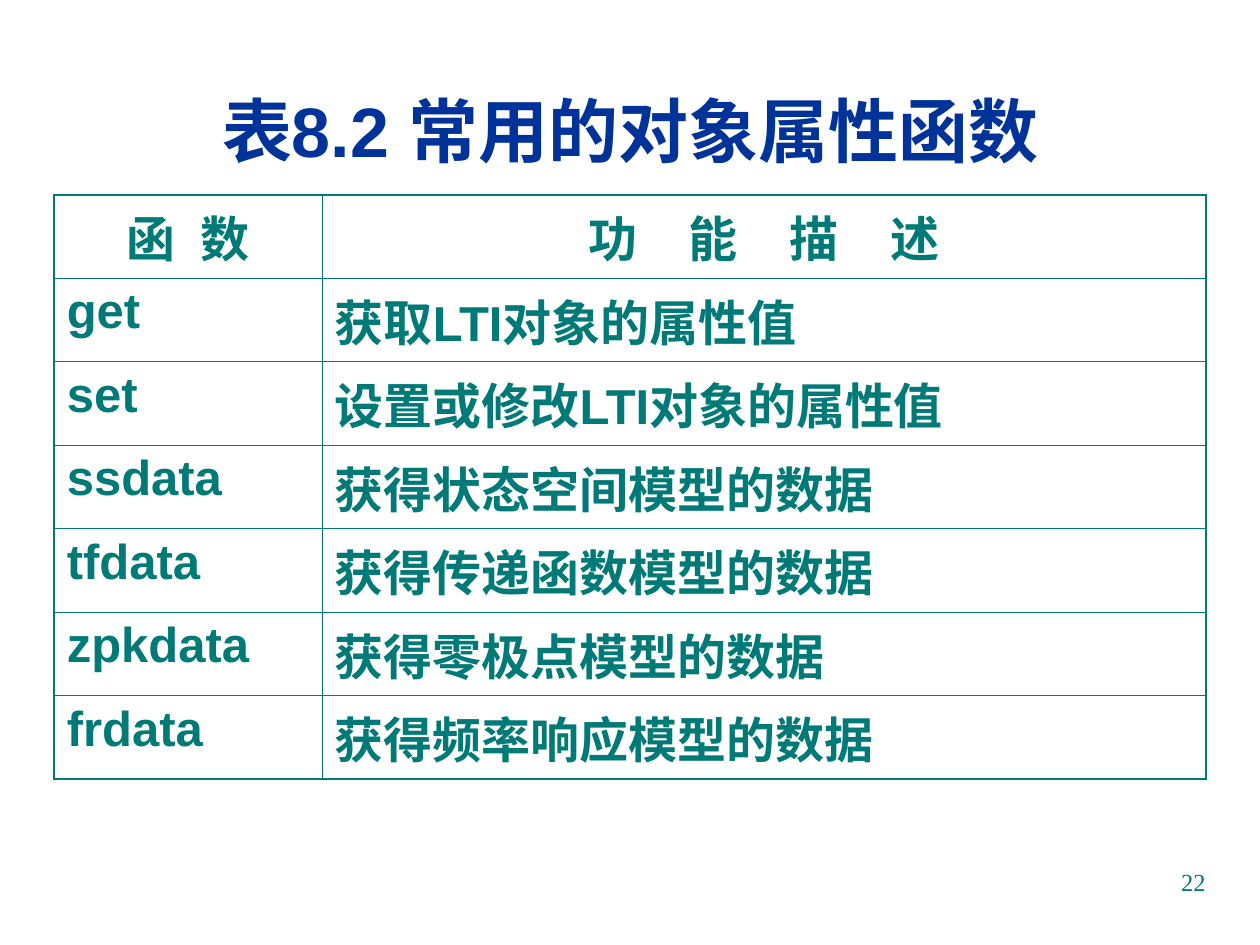
from lxml import etree
from pptx import Presentation
from pptx.dml.color import RGBColor
from pptx.enum.lang import MSO_LANGUAGE_ID
from pptx.enum.text import MSO_ANCHOR, PP_ALIGN
from pptx.oxml.ns import qn
from pptx.util import Pt

LEFT, CENTER, RIGHT = PP_ALIGN.LEFT, PP_ALIGN.CENTER, PP_ALIGN.RIGHT
MIDDLE = MSO_ANCHOR.MIDDLE
CHINESE = MSO_LANGUAGE_ID.SIMPLIFIED_CHINESE

# Content
TITLE = "表8.2 常用的对象属性函数"
PAGE_NUMBER = "22"
HEADER = ("函 数", "功 能 描 述")
FUNCTIONS = [
    ("get", "获取LTI对象的属性值"),
    ("set", "设置或修改LTI对象的属性值"),
    ("ssdata", "获得状态空间模型的数据"),
    ("tfdata", "获得传递函数模型的数据"),
    ("zpkdata", "获得零极点模型的数据"),
    ("frdata", "获得频率响应模型的数据"),
]

# Style
COLORS = {"title": "003399", "teal": "007A77"}
COLUMN_WIDTHS = (153.2, 504.8)
HEADER_TRACKING = (3.9, 11.7)
ROW_HEIGHT = 45.4
OUTER_LINE, INNER_LINE = 1.08, 0.45


def add_span(para, text, size, color, name="Arial", bold=True):
    span = para.add_run()
    span.text = text
    font = span.font
    font.name, font.size, font.bold = name, Pt(size), bold
    font.color.rgb = RGBColor.from_string(COLORS[color])
    font.language_id = CHINESE
    return span


def set_borders(cell, widths):
    properties = cell._tc.get_or_add_tcPr()
    for side, width in widths.items():
        line = etree.SubElement(properties, qn(f"a:ln{side}"), w=str(Pt(width)))
        fill = etree.SubElement(line, qn("a:solidFill"))
        etree.SubElement(fill, qn("a:srgbClr"), val=COLORS["teal"])


deck = Presentation()
deck.slide_width, deck.slide_height = Pt(720), Pt(540)
page = deck.slides.add_slide(deck.slide_layouts[5])

# Title
title = page.shapes.title
title.left, title.top, title.width, title.height = Pt(24), Pt(48), Pt(672), Pt(52)
title.text_frame.vertical_anchor = MIDDLE
title_para = title.text_frame.paragraphs[0]
title_para.alignment = CENTER
add_span(title_para, TITLE, 40, "title")

# Function table
rows = [HEADER] + FUNCTIONS
last_row, last_column = len(rows) - 1, len(HEADER) - 1
table = page.shapes.add_table(
    len(rows), len(HEADER), Pt(31), Pt(111.4),
    Pt(sum(COLUMN_WIDTHS)), Pt(ROW_HEIGHT * len(rows))).table
table.first_row = table.horz_banding = False
for column, width in zip(table.columns, COLUMN_WIDTHS):
    column.width = Pt(width)

for r, texts in enumerate(rows):
    table.rows[r].height = Pt(ROW_HEIGHT)
    for c, text in enumerate(texts):
        cell = table.cell(r, c)
        para = cell.text_frame.paragraphs[0]
        para.alignment = CENTER if r == 0 else LEFT
        para.space_before = Pt(7)
        span = add_span(para, text, 28, "teal")
        if r == 0:  # spread the header characters
            tracking = round(HEADER_TRACKING[c] * 100)
            span._r.get_or_add_rPr().set("spc", str(tracking))
        on_edge = {"L": c == 0, "R": c == last_column,
                   "T": r == 0, "B": r == last_row}
        set_borders(cell, {side: OUTER_LINE if edge else INNER_LINE
                           for side, edge in on_edge.items()})
        cell.fill.background()

# Page number
box = page.shapes.add_textbox(Pt(516), Pt(492), Pt(180), Pt(37.5))
box.text_frame.word_wrap = True
number_para = box.text_frame.paragraphs[0]
number_para.alignment = RIGHT
add_span(number_para, PAGE_NUMBER, 14, "teal", "Times New Roman", False)

deck.save("out.pptx")
